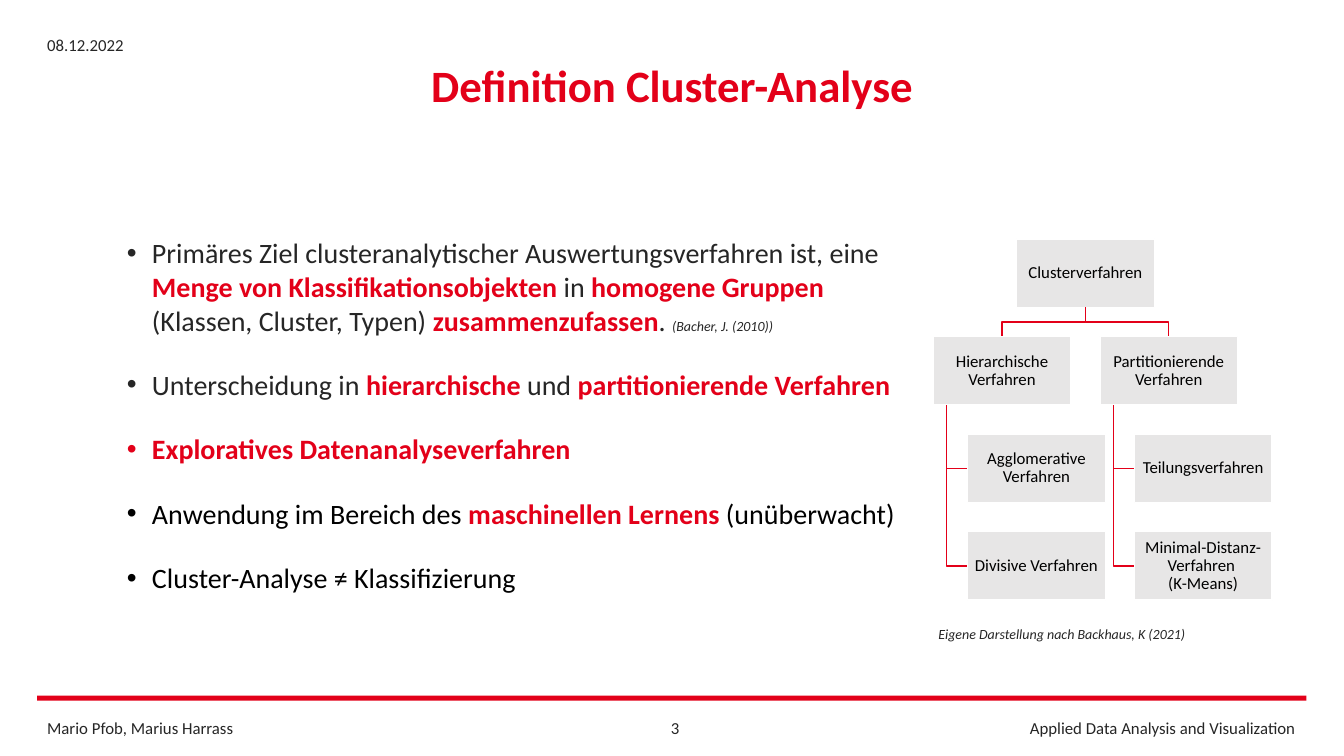
from lxml import etree
from pptx import Presentation
from pptx import util as u
from pptx.dml.color import RGBColor
from pptx.enum import shapes, text
from pptx.oxml import ns

RED = RGBColor(0xE3, 0x00, 0x19)
DARK = RGBColor(0x26, 0x26, 0x26)
BLACK = RGBColor(0x00, 0x00, 0x00)
GREY = RGBColor(0xE7, 0xE6, 0xE6)
WHITE = RGBColor(0xFF, 0xFF, 0xFF)
CENTER = text.PP_ALIGN.CENTER
LEFT = text.PP_ALIGN.LEFT

# Bullet texts as (text, colour) pieces; red pieces are bold
BULLETS = [
    [("Primäres Ziel clusteranalytischer Auswertungsverfahren ist, eine ", DARK),
     ("Menge von Klassifikationsobjekten", RED), (" in ", DARK),
     ("homogene Gruppen ", RED), ("(Klassen, Cluster, Typen) ", DARK),
     ("zusammenzufassen", RED), (". ", DARK)],
    [("Unterscheidung in ", DARK), ("hierarchische", RED), (" und ", DARK),
     ("partitionierende Verfahren", RED)],
    [("Exploratives Datenanalyseverfahren", RED)],
    [("Anwendung im Bereich des ", BLACK), ("maschinellen Lernens ", RED),
     ("(unüberwacht)", BLACK)],
    [("Cluster-Analyse ≠ Klassifizierung", BLACK)],
]
CITATION = "(Bacher, J. (2010))"

# Tree: each branch with its methods
ROOT = "Clusterverfahren"
BRANCHES = {
    "Hierarchische Verfahren": ["Agglomerative Verfahren", "Divisive Verfahren"],
    "Partitionierende Verfahren": ["Teilungsverfahren",
                                   "Minimal-Distanz-Verfahren \n(K-Means)"],
}
BOX_WIDTH, BOX_HEIGHT = 98.5, 49
TREE_LEFT, TREE_TOP = 666.5, 170.6
COLUMN_STEP, ROW_STEP = 119.1, 69.7
CHILD_INDENT, TRUNK_INDENT = 24.6, 9.8


class SlideBuilder:
    def __init__(self, slide, font="Calibri"):
        self.slide = slide
        self.font = font

    def style(self, run, size, color, bold=False, italic=False):
        run.font.name = self.font
        run.font.size = u.Pt(size)
        run.font.color.rgb = color
        run.font.bold = bold
        run.font.italic = italic

    def set_text(self, frame, wording, size, color, align=LEFT, spacing=1.0, **look):
        paragraph = frame.paragraphs[0]
        paragraph.text = wording
        paragraph.alignment = align
        paragraph.line_spacing = spacing
        for run in paragraph.runs:
            self.style(run, size, color, **look)

    def title(self, wording, *place):
        shape = self.slide.shapes.title
        shape.left, shape.top, shape.width, shape.height = map(u.Pt, place)
        frame = shape.text_frame
        frame.auto_size = text.MSO_AUTO_SIZE.NONE
        frame.vertical_anchor = text.MSO_ANCHOR.MIDDLE
        self.set_text(frame, wording, 32, RED, CENTER, 0.8, bold=True)

    def label(self, wording, *place, size=12, align=LEFT, italic=False):
        shape = self.slide.shapes.add_textbox(*map(u.Pt, place))
        shape.text_frame.word_wrap = False
        self.set_text(shape.text_frame, wording, size, DARK, align, italic=italic)

    def bullets(self, items, *place):
        frame = self.slide.shapes.add_textbox(*map(u.Pt, place)).text_frame
        frame.word_wrap = True
        for index, pieces in enumerate(items):
            paragraph = frame.add_paragraph() if index else frame.paragraphs[0]
            paragraph.space_before = u.Pt(10)
            paragraph.line_spacing = 1.5 if index else 1.0
            properties = paragraph._p.get_or_add_pPr()
            properties.set("marL", str(u.Pt(18)))
            properties.set("indent", str(u.Pt(-18)))
            etree.SubElement(properties, ns.qn("a:buFont")).set("typeface", "Arial")
            etree.SubElement(properties, ns.qn("a:buChar")).set("char", "•")
            for wording, color in pieces:
                run = paragraph.add_run()
                run.text = wording
                self.style(run, 20, color, bold=color == RED)
        return frame

    def rectangle(self, fill, *place):
        shape = self.slide.shapes.add_shape(
            shapes.MSO_SHAPE.RECTANGLE, *map(u.Pt, place))
        shape.shadow.inherit = False
        shape.fill.solid()
        shape.fill.fore_color.rgb = fill
        shape.line.fill.background()
        return shape

    def box(self, wording, left, top):
        shape = self.rectangle(GREY, left, top, BOX_WIDTH, BOX_HEIGHT)
        shape.line.color.rgb = WHITE
        shape.line.width = u.Pt(1)
        frame = shape.text_frame
        frame.word_wrap = True
        frame.vertical_anchor = text.MSO_ANCHOR.MIDDLE
        frame.margin_left = frame.margin_right = u.Pt(0.7)
        frame.margin_top = frame.margin_bottom = u.Pt(0.7)
        self.set_text(frame, wording, 12, BLACK, CENTER, 0.9)

    def polyline(self, *points):
        start, *rest = [(u.Pt(x), u.Pt(y)) for x, y in points]
        builder = self.slide.shapes.build_freeform(*start)
        builder.add_line_segments(rest, close=False)
        shape = builder.convert_to_shape()
        shape.shadow.inherit = False
        shape.fill.background()
        shape.line.color.rgb = RED
        shape.line.width = u.Pt(1)


def draw_tree(builder):
    root_left = TREE_LEFT + COLUMN_STEP / 2
    root_x = root_left + BOX_WIDTH / 2
    root_bottom = TREE_TOP + BOX_HEIGHT
    branch_top = TREE_TOP + ROW_STEP
    branch_bottom = branch_top + BOX_HEIGHT
    middle = (root_bottom + branch_top) / 2
    builder.box(ROOT, root_left, TREE_TOP)
    for column, (branch, methods) in enumerate(BRANCHES.items()):
        left = TREE_LEFT + column * COLUMN_STEP
        branch_x = left + BOX_WIDTH / 2
        builder.polyline((root_x, root_bottom), (root_x, middle),
                         (branch_x, middle), (branch_x, branch_top))
        builder.box(branch, left, branch_top)
        trunk, child_left = left + TRUNK_INDENT, left + CHILD_INDENT
        for row, method in enumerate(methods, start=1):
            top = branch_top + row * ROW_STEP
            child_y = top + BOX_HEIGHT / 2
            builder.polyline((trunk, branch_bottom), (trunk, child_y),
                             (child_left, child_y))
            builder.box(method, child_left, top)


def main():
    presentation = Presentation()
    presentation.slide_width, presentation.slide_height = u.Pt(960), u.Pt(540)
    slide = presentation.slides.add_slide(presentation.slide_layouts[5])
    builder = SlideBuilder(slide)

    # Title and date
    builder.title("Definition Cluster-Analyse", 83.5, 43.2, 793.4, 41)
    builder.label("08.12.2022", 26.6, 21.6, 70.6, 21.8)

    # Footer
    builder.rectangle(RED, 26.6, 496.8, 906.5, 3.6)
    builder.label("Mario Pfob, Marius Harrass", 26.6, 509, 149, 21.8)
    builder.label("3", 472.2, 509, 15.8, 21.8, align=CENTER)
    builder.label("Applied Data Analysis and Visualization", 728.6, 509, 204.5, 21.8)

    # Definition
    frame = builder.bullets(BULLETS, 83.5, 164.9, 564.5, 251.3)
    citation = frame.paragraphs[0].add_run()
    citation.text = CITATION
    builder.style(citation, 10, DARK, italic=True)

    # Tree of methods
    draw_tree(builder)
    builder.label("Eigene Darstellung nach Backhaus, K (2021)",
                  663.1, 443.5, 193.7, 19.4, size=10, italic=True)

    presentation.save("out.pptx")


if __name__ == "__main__":
    main()
